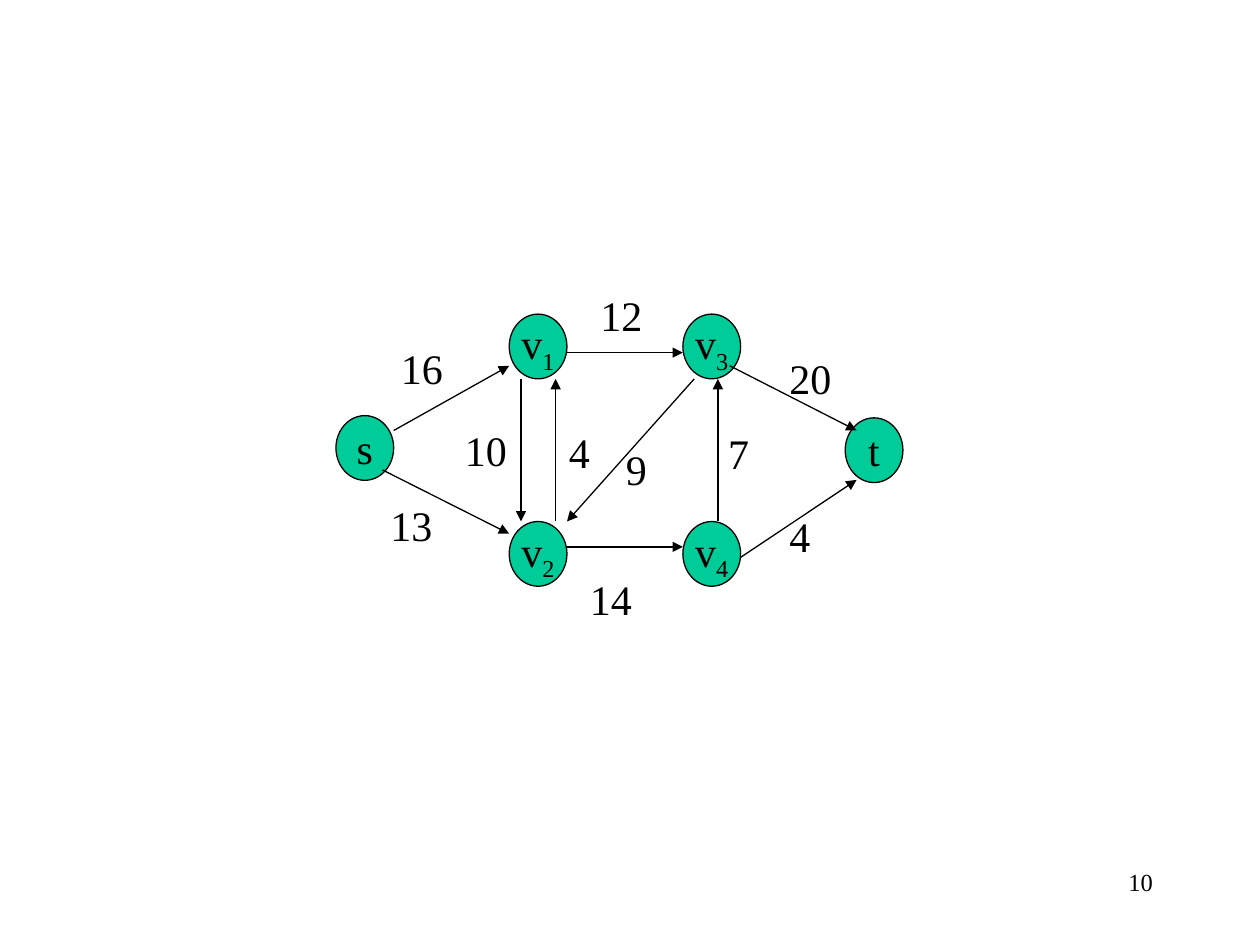
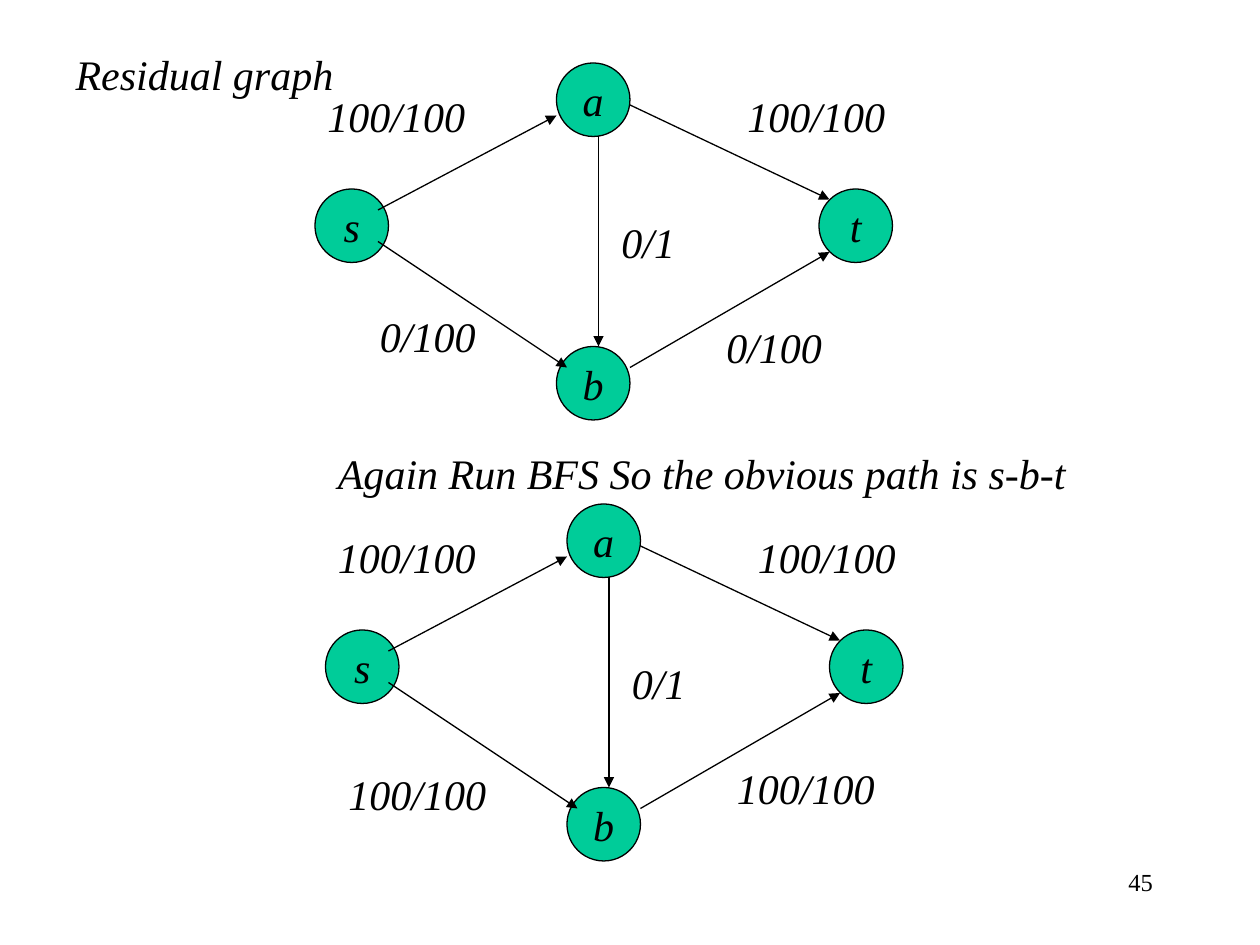
from dataclasses import dataclass

from lxml.etree import SubElement
from pptx import Presentation
from pptx.dml.color import RGBColor
from pptx.enum.shapes import MSO_CONNECTOR as Link, MSO_SHAPE as Form
from pptx.enum.text import MSO_ANCHOR as Anchor, MSO_AUTO_SIZE as Fit, PP_ALIGN as Align
from pptx.oxml.ns import qn
from pptx.util import Pt

# Shared look
GREEN = RGBColor(0x00, 0xCC, 0x99)
BLACK = RGBColor(0x00, 0x00, 0x00)
PLAIN = {"name": "Times New Roman", "size": Pt(24), "bold": False, "italic": False}
SLANT = {**PLAIN, "italic": True}
SMALL = {**PLAIN, "size": Pt(14)}
FRAME = {"word_wrap": True, "auto_size": Fit.NONE, "vertical_anchor": Anchor.TOP}
DISC = {**FRAME, "word_wrap": False, "vertical_anchor": Anchor.MIDDLE}
STROKE = Pt(0.75)
HIGH = 36  # height of a one-line box


@dataclass(frozen=True)
class Node:
    name: str
    x: float
    y: float
    sub: str = ""


@dataclass(frozen=True)
class Edge:
    x1: float
    y1: float
    x2: float
    y2: float


@dataclass(frozen=True)
class Label:
    text: str
    x: float
    y: float
    wide: float


@dataclass(frozen=True)
class Graph:
    nodes: list[Node]
    edges: list[Edge]
    wide: float  # node width
    high: float  # node height
    font: dict


def apply(target, values: dict) -> None:
    for key, value in values.items():
        setattr(target, key, value)


def write(frame, text: str, font: dict, box: dict = FRAME, align=Align.LEFT):
    """Put one formatted paragraph in a text frame."""
    apply(frame, box)
    para = frame.paragraphs[0]
    para.alignment = align
    return add_run(para, text, font)


def add_run(para, text: str, font: dict):
    run = para.add_run()
    run.text = text
    apply(run.font, font)
    run.font.color.rgb = BLACK
    return run


def add_node(slide, node: Node, graph: Graph, dx: float, dy: float) -> None:
    disc = slide.shapes.add_shape(Form.OVAL, Pt(node.x + dx), Pt(node.y + dy),
                                  Pt(graph.wide), Pt(graph.high))
    disc.shadow.inherit = False
    disc.fill.solid()
    disc.fill.fore_color.rgb = GREEN
    disc.line.color.rgb = BLACK
    disc.line.width = STROKE
    write(disc.text_frame, node.name, graph.font, DISC, Align.CENTER)
    if node.sub:
        run = add_run(disc.text_frame.paragraphs[0], node.sub, graph.font)
        run.font._element.set("baseline", "-25000")


def add_edge(slide, edge: Edge, dx: float, dy: float) -> None:
    arrow = slide.shapes.add_connector(Link.STRAIGHT, Pt(edge.x1 + dx), Pt(edge.y1 + dy),
                                       Pt(edge.x2 + dx), Pt(edge.y2 + dy))
    arrow.line.color.rgb = BLACK
    arrow.line.width = STROKE
    SubElement(arrow.line._get_or_add_ln(), qn("a:tailEnd"), type="triangle")
    SubElement(arrow._element.spPr, qn("a:effectLst"))


def add_label(slide, label: Label, font: dict, dx: float = 0, dy: float = 0,
              align=Align.LEFT) -> None:
    box = slide.shapes.add_textbox(Pt(label.x + dx), Pt(label.y + dy),
                                   Pt(label.wide), Pt(HIGH))
    write(box.text_frame, label.text, font, align=align)


def add_graph(slide, graph: Graph, labels: list[Label], dx: float = 0, dy: float = 0) -> None:
    for node in graph.nodes:
        add_node(slide, node, graph, dx, dy)
    for edge in graph.edges:
        add_edge(slide, edge, dx, dy)
    for label in labels:
        add_label(slide, label, graph.font, dx, dy)


def add_page(slide, number: str) -> None:
    add_label(slide, Label(number, 516, 492, 150), SMALL, align=Align.RIGHT)


# Capacity network
COL1, COL2, TOP, LOW = 291, 390.25, 179.5, 298
NETWORK = Graph(
    nodes=[Node("s", 192, 237.5), Node("t", 483, 238.75),
           Node("v", COL1, TOP, "1"), Node("v", COL1, LOW, "2"),
           Node("v", COL2, TOP, "3"), Node("v", COL2, LOW, "4")],
    edges=[Edge(225, 246, 291, 209), Edge(218.5, 268.5, 291, 305),
           Edge(324, 201.5, 390.25, 201.5), Edge(324, 312.5, 390.25, 312.5),
           Edge(297.75, 216.5, 297.75, LOW), Edge(317.5, LOW, 317.5, 216.5),
           Edge(410.25, LOW, 410.25, 216.5), Edge(396.75, 216.5, 324, LOW),
           Edge(417, 209, 489.5, 246), Edge(423.25, 318.5, 489.5, 274.25)],
    wide=33, high=37, font=PLAIN)
COSTS = [Label("16", 222, 192, 40), Label("13", 216, 282, 40), Label("12", 336, 162, 40),
         Label("14", 330, 324, 40), Label("10", 258.5, 239, 40), Label("4", 318, 240, 28),
         Label("9", 350.5, 250, 46), Label("7", 409, 241, 28),
         Label("20", 444, 198, 40), Label("4", 444, 288, 28)]

# Flow diamond, drawn before and after the second path
DIAMOND = Graph(
    nodes=[Node("s", 180, 108), Node("b", 318, 198),
           Node("t", 468, 108), Node("a", 318, 36)],
    edges=[Edge(216, 138, 324, 210), Edge(360, 210, 474, 144), Edge(342, 78, 342, 198),
           Edge(216, 120, 318, 66), Edge(360, 60, 474, 114), Edge(222, 126, 222, 126)],
    wide=42, high=42, font=SLANT)
UPPER = [Label("0/1", 348, 120, 48), Label("100/100", 420, 48, 102),
         Label("100/100", 180, 48, 108)]
BEFORE = [Label("0/100", 408, 180, 78), Label("0/100", 210, 174, 84)]
AFTER = [Label("100/100", 408, 180, 108), Label("100/100", 186, 183.5, 104)]


def main() -> None:
    deck = Presentation()
    deck.slide_width, deck.slide_height = Pt(720), Pt(540)
    bare, titled = deck.slide_layouts[6], deck.slide_layouts[5]

    # Slide 1: capacities
    slide = deck.slides.add_slide(bare)
    add_graph(slide, NETWORK, COSTS)
    add_page(slide, "10")

    # Slide 2: residual graph
    slide = deck.slides.add_slide(titled)
    title = slide.shapes.title
    apply(title, {"left": Pt(36), "top": Pt(24), "width": Pt(192), "height": Pt(HIGH)})
    write(title.text_frame, "Residual graph", SLANT)
    add_graph(slide, DIAMOND, UPPER + BEFORE)
    add_graph(slide, DIAMOND, UPPER + AFTER, dx=6, dy=252)
    add_label(slide, Label("Again Run BFS So the obvious path is s-b-t", 186, 252, 504), SLANT)
    add_page(slide, "45")

    deck.save("out.pptx")


if __name__ == "__main__":
    main()
